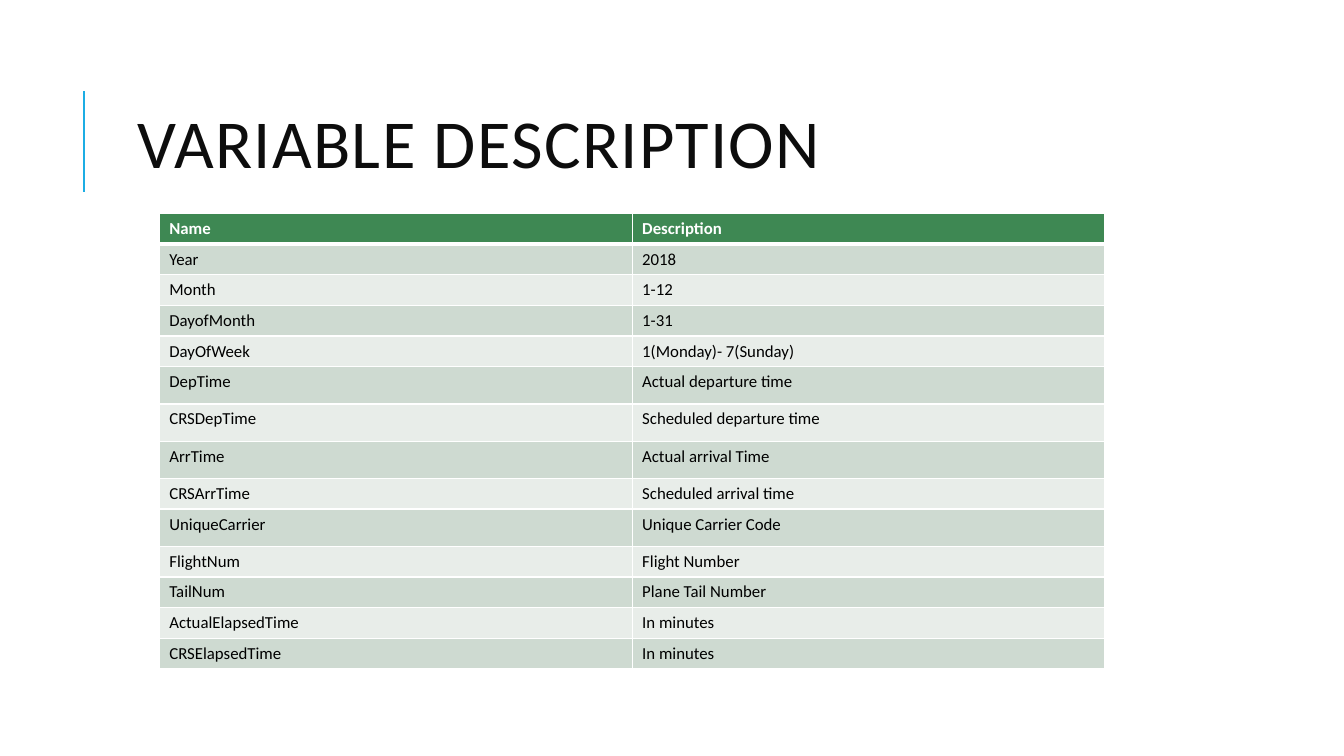
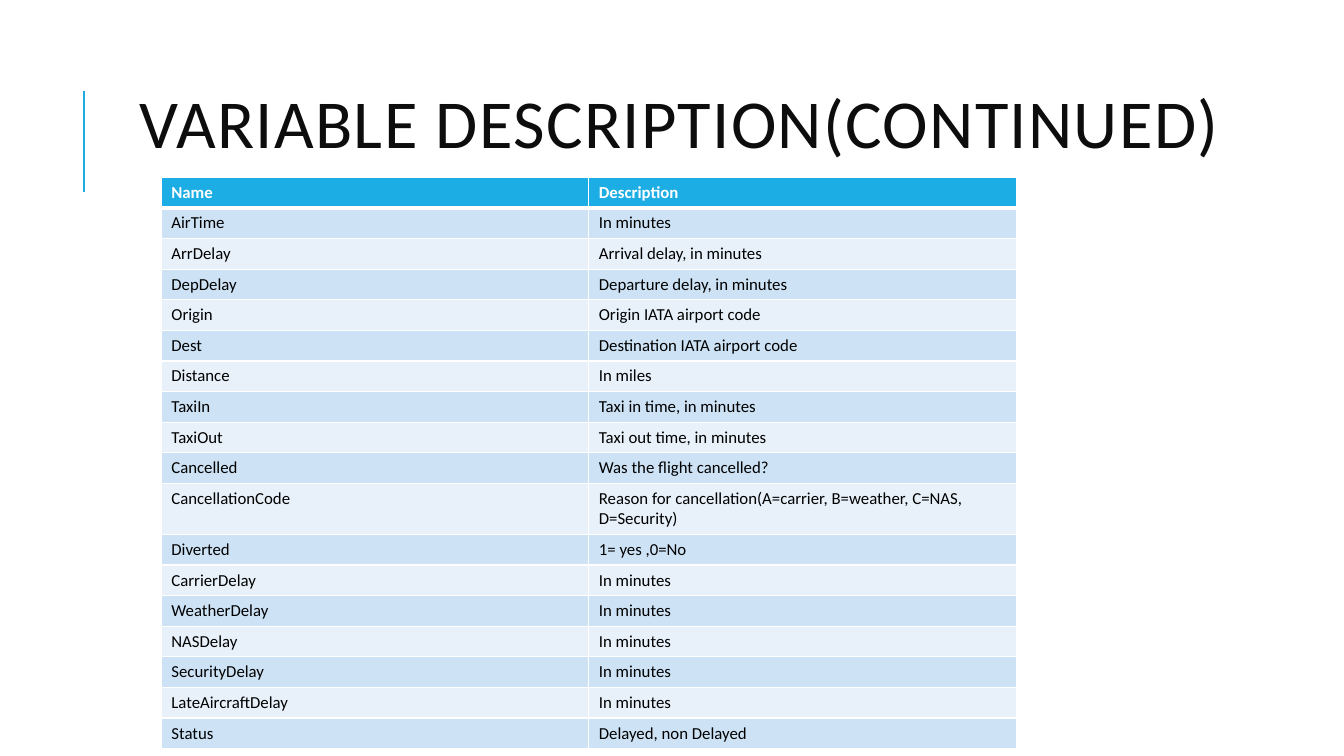
"""Build two slides that list the variables of a flight data set."""
from dataclasses import dataclass

from lxml import etree
from pptx import Presentation
from pptx.dml.color import RGBColor
from pptx.enum.shapes import MSO_CONNECTOR
from pptx.enum.text import MSO_ANCHOR, MSO_AUTO_SIZE, PP_ALIGN
from pptx.oxml.ns import qn
from pptx.util import Pt

LINE = MSO_CONNECTOR.STRAIGHT
MIDDLE = MSO_ANCHOR.MIDDLE
FIXED = MSO_AUTO_SIZE.NONE
LEFT = PP_ALIGN.LEFT

PX = 9144
FONT = "Calibri"
WHITE = RGBColor(0xFF, 0xFF, 0xFF)
BLACK = RGBColor(0x00, 0x00, 0x00)
INK = RGBColor(0x0D, 0x0D, 0x0D)
BLUE = RGBColor(0x1C, 0xAD, 0xE4)
BLUE_MID = RGBColor(0xCD, 0xE3, 0xF5)
BLUE_PALE = RGBColor(0xE8, 0xF1, 0xFA)
GREEN = RGBColor(0x3E, 0x88, 0x53)
GREEN_MID = RGBColor(0xCE, 0xDA, 0xD1)
GREEN_PALE = RGBColor(0xE8, 0xED, 0xE9)

ROW = 30
TALL = 37
HEAD = ("Name", "Description")


@dataclass(frozen=True)
class Box:
    """Hold a place and size in px."""
    left: int
    top: int
    width: int
    height: int

    def emu(self) -> tuple[int, int, int, int]:
        """Return the box in EMU."""
        return self.left * PX, self.top * PX, self.width * PX, self.height * PX


@dataclass(frozen=True)
class Theme:
    """Hold the fills of a table."""
    head: RGBColor
    odd: RGBColor
    even: RGBColor

    def fill(self, row: int) -> RGBColor:
        """Return the fill of a row."""
        if row == 0:
            return self.head
        return self.odd if row % 2 else self.even


@dataclass(frozen=True)
class Page:
    """Hold all that one slide shows."""
    title: str
    place: Box
    left: int
    top: int
    column: int
    theme: Theme
    rows: tuple[tuple[str, str], ...]
    tall: tuple[str, ...] = ()


PAGES = (
    Page("VARIABLE DESCRIPTION", Box(126, 106, 1100, 83), 158, 212, 469,
         Theme(GREEN, GREEN_MID, GREEN_PALE), (
             ("Year", "2018"),
             ("Month", "1-12"),
             ("DayofMonth", "1-31"),
             ("DayOfWeek", "1(Monday)- 7(Sunday)"),
             ("DepTime", "Actual departure time"),
             ("CRSDepTime", "Scheduled departure time"),
             ("ArrTime", "Actual arrival Time"),
             ("CRSArrTime", "Scheduled arrival time"),
             ("UniqueCarrier", "Unique Carrier Code"),
             ("FlightNum", "Flight Number"),
             ("TailNum", "Plane Tail Number"),
             ("ActualElapsedTime", "In minutes"),
             ("CRSElapsedTime", "In minutes"),
         ), ("DepTime", "CRSDepTime", "ArrTime", "UniqueCarrier")),
    Page("VARIABLE DESCRIPTION(CONTINUED)", Box(128, 92, 1100, 71), 160, 176, 424,
         Theme(BLUE, BLUE_MID, BLUE_PALE), (
             ("AirTime", "In minutes"),
             ("ArrDelay", "Arrival delay, in minutes"),
             ("DepDelay", "Departure delay, in minutes"),
             ("Origin", "Origin IATA airport code"),
             ("Dest", "Destination IATA airport code"),
             ("Distance", "In miles"),
             ("TaxiIn", "Taxi in time, in minutes"),
             ("TaxiOut", "Taxi out time, in minutes"),
             ("Cancelled", "Was the flight cancelled?"),
             ("CancellationCode",
              "Reason for cancellation(A=carrier, B=weather, C=NAS, D=Security)"),
             ("Diverted", "1= yes ,0=No"),
             ("CarrierDelay", "In minutes"),
             ("WeatherDelay", "In minutes"),
             ("NASDelay", "In minutes"),
             ("SecurityDelay", "In minutes"),
             ("LateAircraftDelay", "In minutes"),
             ("Status", "Delayed, non Delayed"),
         )),
)


def style(run, size: int, color: RGBColor, bold: bool = False) -> None:
    """Set the font of a run."""
    run.font.name = FONT
    run.font.size = Pt(size)
    run.font.bold = bold
    run.font.color.rgb = color


def add_title(slide, text: str, place: Box) -> None:
    """Place and format the title."""
    title = slide.shapes.title
    title.left, title.top, title.width, title.height = place.emu()
    frame = title.text_frame
    frame.text = text
    frame.word_wrap = True
    frame.auto_size = FIXED
    frame.vertical_anchor = MIDDLE
    para = frame.paragraphs[0]
    para.alignment = LEFT
    para.line_spacing = 0.8
    run = para.runs[0]
    style(run, 49, INK)
    run.font._element.set("spc", "100")


def add_rule(slide) -> None:
    """Draw the upright line beside the title."""
    rule = slide.shapes.add_connector(LINE, 83 * PX, 190 * PX, 83 * PX, 90 * PX)
    rule.line.color.rgb = BLUE
    rule.line.width = Pt(1.5)
    etree.SubElement(rule._element.spPr, qn("a:effectLst"))


def add_edges(cell, row: int) -> None:
    """Give a cell white borders, thick below the head row."""
    props = cell._tc.get_or_add_tcPr()
    widths = {"L": 1, "R": 1, "T": 3 if row == 1 else 1, "B": 3 if row == 0 else 1}
    for side, width in widths.items():
        edge = etree.SubElement(props, qn(f"a:ln{side}"), w=str(Pt(width)))
        fill = etree.SubElement(edge, qn("a:solidFill"))
        etree.SubElement(fill, qn("a:srgbClr"), val=str(WHITE))


def set_cell(cell, text: str, row: int, theme: Theme) -> None:
    """Fill and format one cell."""
    add_edges(cell, row)
    cell.fill.solid()
    cell.fill.fore_color.rgb = theme.fill(row)
    cell.text_frame.text = text
    head = row == 0
    style(cell.text_frame.paragraphs[0].runs[0], 12, WHITE if head else BLACK, head)


def add_grid(slide, page: Page) -> None:
    """Draw the table of variables."""
    rows = (HEAD, *page.rows)
    sizes = [TALL if name in page.tall else ROW for name, _ in rows]
    place = Box(page.left, page.top, page.column * len(HEAD), sum(sizes))
    grid = slide.shapes.add_table(len(rows), len(HEAD), *place.emu()).table
    for col in grid.columns:
        col.width = page.column * PX
    for row, (texts, size) in enumerate(zip(rows, sizes)):
        grid.rows[row].height = size * PX
        for col, text in enumerate(texts):
            set_cell(grid.cell(row, col), text, row, page.theme)


def main() -> None:
    """Build and save the slides."""
    deck = Presentation()
    deck.slide_width, deck.slide_height = 1333 * PX, 750 * PX
    layout = deck.slide_layouts.get_by_name("Title Only")
    for page in PAGES:
        slide = deck.slides.add_slide(layout)
        add_rule(slide)
        add_title(slide, page.title, page.place)
        add_grid(slide, page)
    deck.save("out.pptx")


if __name__ == "__main__":
    main()
